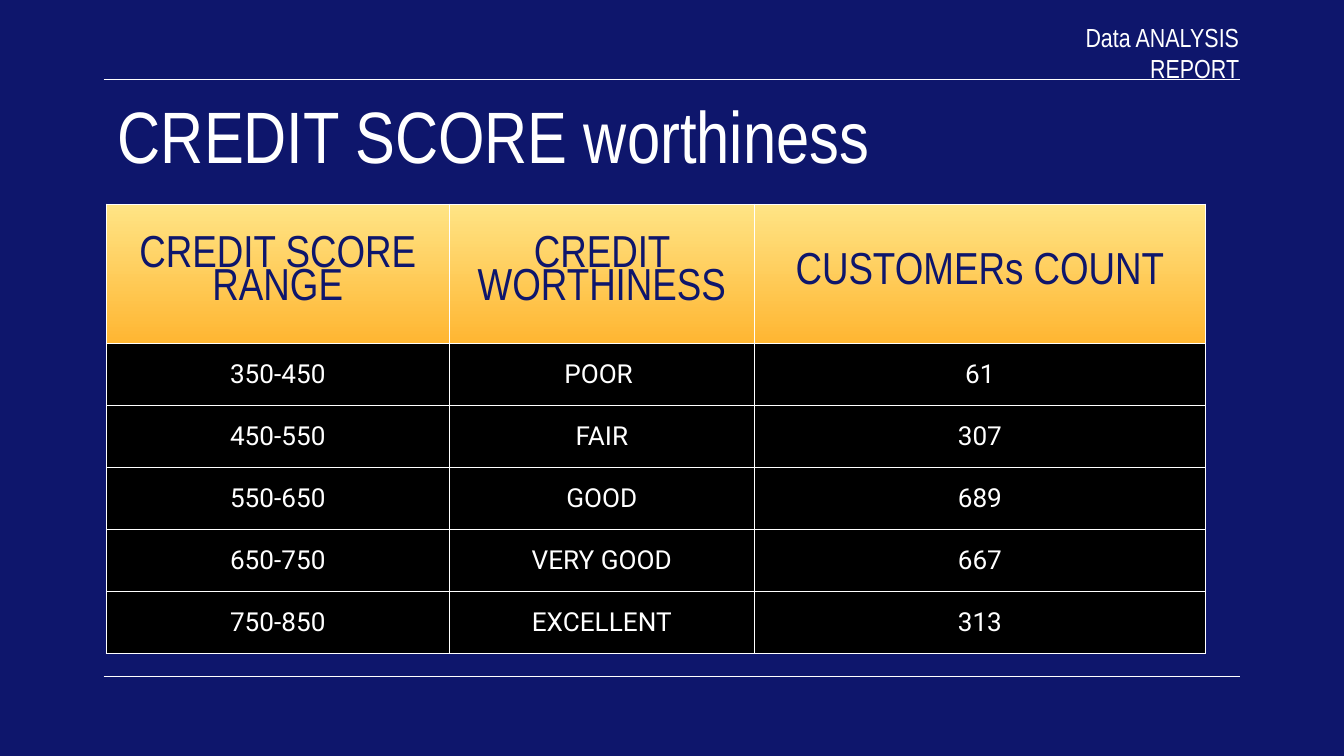
from lxml import etree
from pptx import Presentation
from pptx.dml.color import RGBColor
from pptx.enum.shapes import MSO_CONNECTOR as Connector
from pptx.enum.text import MSO_ANCHOR as Anchor, PP_ALIGN as Align
from pptx.oxml import parse_xml
from pptx.oxml.ns import nsdecls, qn
from pptx.util import Cm, Pt

COLOURS = {
    "navy": "0E166C",
    "white": "FFFFFF",
    "black": "000000",
    "gold": "FFE485",
    "orange": "FFB632",
}
INSET = 0.25
LINE_WIDTH = 0.75
COLUMN_WIDTHS = [6.48, 5.77, 8.52]
HEADER_HEIGHT, ROW_HEIGHT = 2.64, 1.17
HEADINGS = ["CREDIT SCORE RANGE", "CREDIT WORTHINESS", "CUSTOMERs COUNT"]
SCORES = [
    ["350-450", "POOR ", "61"],
    ["450-550", "FAIR", "307"],
    ["550-650", "GOOD", "689"],
    ["650-750", "VERY GOOD", "667"],
    ["750-850", "EXCELLENT", "313"],
]
TITLE = {"name": "Arial Narrow", "size": Pt(39), "bold": False}
LABEL = {"name": "Arial Narrow", "size": Pt(14), "bold": False}
HEADING = {"name": "Arial Narrow", "size": Pt(24), "bold": False}
BODY = {"name": "Roboto", "size": Pt(14), "bold": False}


def colour(name):
    return RGBColor.from_string(COLOURS[name])


def set_values(target, values):
    for name, value in values.items():
        setattr(target, name, value)


def write(frame, text, font, ink, align, spacing=1.0):
    para = frame.paragraphs[0]
    set_values(para, {"alignment": align, "line_spacing": spacing})
    span = para.add_run()
    span.text = text
    set_values(span.font, font)
    span.font.color.rgb = colour(ink)


def add_text(page, place, text, font, align, anchor, top=INSET, right=INSET):
    frame = page.shapes.add_textbox(*map(Cm, place)).text_frame
    set_values(frame, {
        "word_wrap": True, "vertical_anchor": anchor,
        "margin_left": Cm(INSET), "margin_right": Cm(right),
        "margin_top": Cm(top), "margin_bottom": Cm(INSET),
    })
    write(frame, text, font, "white", align)


def add_rule(page, y):
    rule = page.shapes.add_connector(
        Connector.STRAIGHT, Cm(1.96), Cm(y), Cm(23.44), Cm(y))
    rule.line.color.rgb = colour("white")
    rule.line.width = Pt(LINE_WIDTH)
    etree.SubElement(rule._element.spPr, qn("a:effectLst"))


def add_borders(cell):
    properties = cell._tc.get_or_add_tcPr()
    for index, side in enumerate(["lnL", "lnR", "lnT", "lnB"]):
        properties.insert(index, parse_xml(
            f'<a:{side} {nsdecls("a")} w="{Pt(LINE_WIDTH)}"><a:solidFill>'
            f'<a:srgbClr val="{COLOURS["white"]}"/></a:solidFill></a:{side}>'))


def fill_cell(cell, is_heading):
    if is_heading:
        cell.fill.gradient()
        cell.fill.gradient_angle = 270
        for stop, name in zip(cell.fill.gradient_stops, ["gold", "orange"]):
            stop.color.rgb = colour(name)
    else:
        cell.fill.solid()
        cell.fill.fore_color.rgb = colour("black")


def add_score_table(page):
    rows = [HEADINGS] + SCORES
    heights = [HEADER_HEIGHT] + [ROW_HEIGHT] * len(SCORES)
    table = page.shapes.add_table(
        len(rows), len(HEADINGS), Cm(2.01), Cm(3.86),
        Cm(sum(COLUMN_WIDTHS)), Cm(sum(heights))).table
    set_values(table, {"first_row": False, "horz_banding": False})
    for column, width in zip(table.columns, COLUMN_WIDTHS):
        column.width = Cm(width)
    margins = {f"margin_{side}": Cm(INSET)
               for side in ["left", "right", "top", "bottom"]}
    for r, (texts, height) in enumerate(zip(rows, heights)):
        table.rows[r].height = Cm(height)
        is_heading = r == 0
        font, ink, spacing = (
            (HEADING, "navy", 0.8) if is_heading else (BODY, "white", 1.0))
        for c, text in enumerate(texts):
            cell = table.cell(r, c)
            set_values(cell, {"vertical_anchor": Anchor.MIDDLE, **margins})
            fill_cell(cell, is_heading)
            add_borders(cell)
            write(cell.text_frame, text, font, ink, Align.CENTER, spacing)


def main():
    deck = Presentation()
    set_values(deck, {"slide_width": Cm(25.4), "slide_height": Cm(14.29)})
    page = deck.slides.add_slide(deck.slide_layouts[6])
    page.background.fill.solid()
    page.background.fill.fore_color.rgb = colour("navy")
    for y in [1.5, 12.79]:
        add_rule(page, y)
    add_text(page, (1.98, 1.42, 21.44, 1.68), "CREDIT SCORE worthiness",
             TITLE, Align.LEFT, Anchor.TOP, top=0.3)
    add_score_table(page)
    add_text(page, (19.61, 0.58, 3.81, 0.84), "Data ANALYSIS REPORT",
             LABEL, Align.RIGHT, Anchor.MIDDLE, right=0)
    deck.save("out.pptx")


if __name__ == "__main__":
    main()
